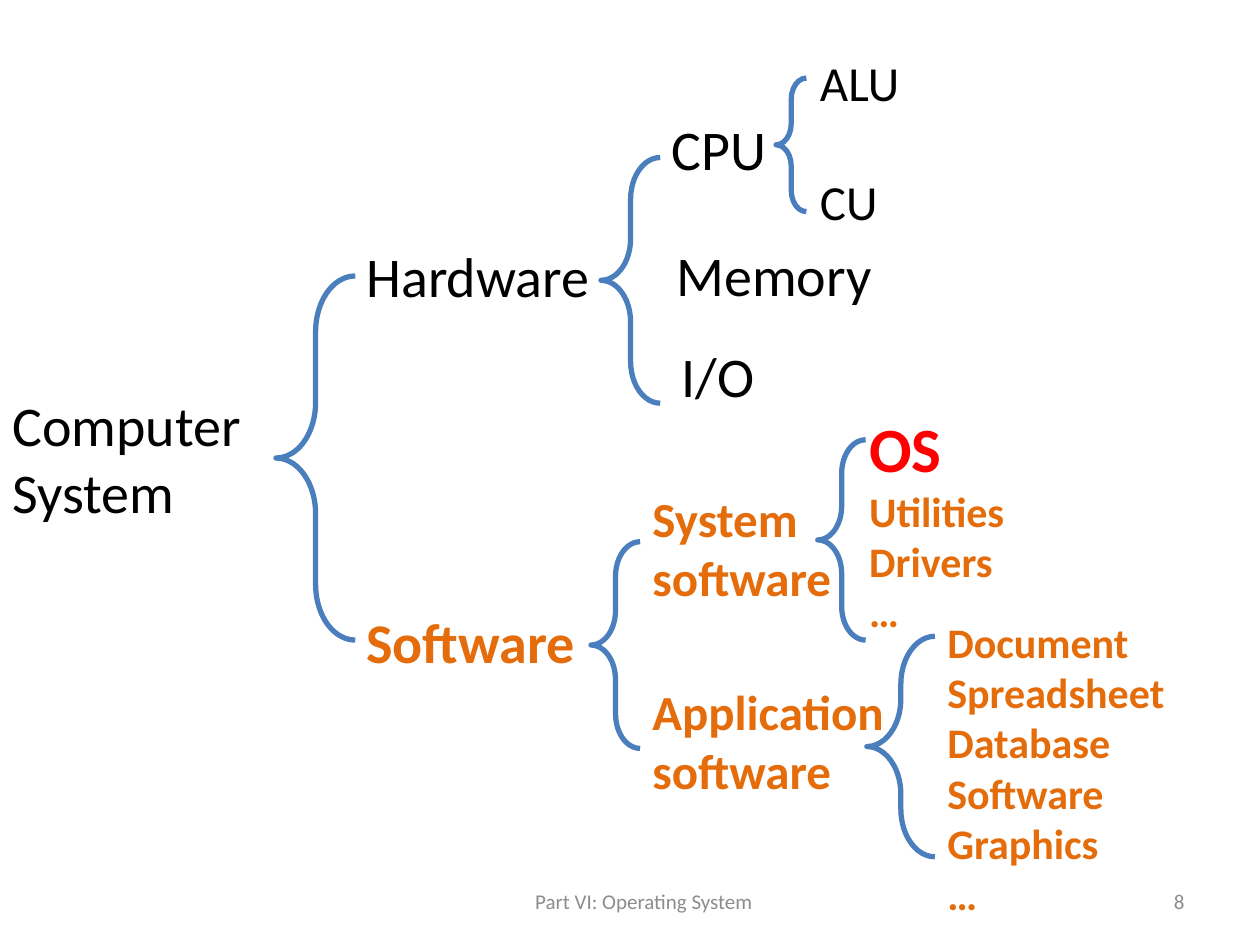
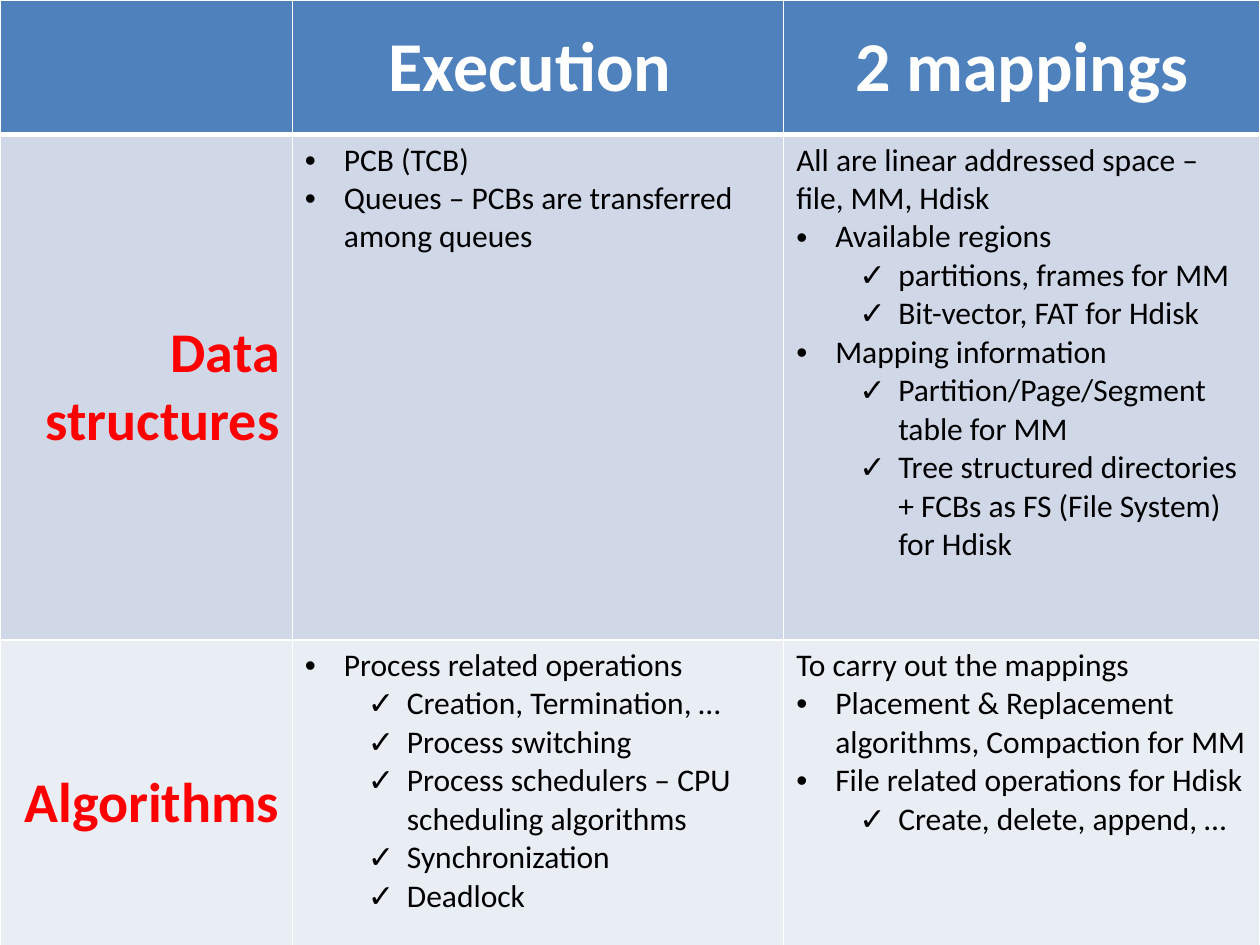
import pptx
import pptx.dml.color
import pptx.enum.shapes
import pptx.enum.text
import pptx.oxml.ns
import pptx.util
from lxml import etree

Inches = pptx.util.Inches
Pt = pptx.util.Pt
ALIGN = pptx.enum.text.PP_ALIGN
ANCHOR = pptx.enum.text.MSO_ANCHOR
FIT = pptx.enum.text.MSO_AUTO_SIZE
FONT = "Calibri"
BLACK, WHITE, RED, ORANGE, GREY = "000000", "FFFFFF", "FF0000", "E46C0A", "8C8C8C"
BRACE_BLUE, HEADER_BLUE = "4B7EBC", "4F81BD"
BODY_FILLS = ["D0D8E8", "E9EDF4"]

CONCEPTS = [
    (0, 3.05, 2.14, 1.18, ["Computer", "System"], 32, BLACK),
    (2.81, 1.87, 1.99, 0.64, ["Hardware"], 32, BLACK),
    (2.81, 4.77, 1.89, 0.64, ["Software"], 32, ORANGE),
    (5.23, 0.86, 0.96, 0.64, ["CPU"], 32, BLACK),
    (6.41, 0.37, 0.84, 0.57, ["ALU"], 28, BLACK),
    (6.41, 1.31, 0.66, 0.57, ["CU"], 28, BLACK),
    (5.27, 1.86, 1.77, 0.64, ["Memory"], 32, BLACK),
    (5.31, 2.66, 0.79, 0.64, ["I/O"], 32, BLACK),
    (5.08, 3.83, 1.65, 1.04, ["System", "software"], 28, ORANGE),
    (5.08, 5.36, 2.06, 1.04, ["Application", "software"], 28, ORANGE),
]
BRACES = [
    (2.19, 2.19, 0.63, 2.89),
    (4.69, 4.3, 0.39, 1.64),
    (6.16, 0.62, 0.24, 1.06),
    (6.49, 3.49, 0.38, 1.59),
    (6.88, 5.05, 0.54, 1.75),
    (4.77, 1.25, 0.47, 1.95),
]
APPLICATIONS = ["Document", "Spreadsheet", "Database Software", "Graphics", "…"]
SYSTEM_SOFTWARE = ["Utilities", "Drivers", "…"]

COLUMN_WIDTHS = [2.32, 3.9, 3.78]
ROW_HEIGHTS = [1.07, 4.01, 2.59]
HEADINGS = ["", "Execution ", "2 mappings"]
TOPICS = [
    ("Data structures",
     [("•", "PCB (TCB)"),
      ("•", "Queues – PCBs are transferred among queues")],
     [("", "All are linear addressed space – file, MM, Hdisk"),
      ("•", "Available regions"),
      ("✓", "partitions, frames for MM"),
      ("✓", "Bit-vector, FAT for Hdisk"),
      ("•", "Mapping information"),
      ("✓", "Partition/Page/Segment table for MM"),
      ("✓", "Tree structured directories + FCBs as FS (File System) for Hdisk")]),
    ("Algorithms ",
     [("•", "Process related operations"),
      ("✓", "Creation, Termination, …"),
      ("✓", "Process switching"),
      ("✓", "Process schedulers – CPU scheduling algorithms"),
      ("✓", "Synchronization"),
      ("✓", "Deadlock")],
     [("", "To carry out the mappings"),
      ("•", "Placement & Replacement algorithms, Compaction for MM"),
      ("•", "File related operations for Hdisk"),
      ("✓", "Create, delete, append, …")]),
]


def rgb(value):
    """Turn a hex string into a colour."""
    return pptx.dml.color.RGBColor.from_string(value)


def write_lines(frame, lines, align=ALIGN.LEFT):
    """Write (text, size, colour, bold) lines as paragraphs and return them."""
    paragraphs = []
    for text, size, colour, bold in lines:
        paragraph = frame.add_paragraph() if paragraphs else frame.paragraphs[0]
        paragraph.alignment = align
        run = paragraph.add_run()
        run.text = text
        run.font.name, run.font.size, run.font.bold = FONT, Pt(size), bold
        run.font.color.rgb = rgb(colour)
        paragraphs.append(paragraph)
    return paragraphs


def add_label(slide, box, lines, align=ALIGN.LEFT, wrap=False, anchor=ANCHOR.TOP, fit=FIT.SHAPE_TO_FIT_TEXT):
    """Place lines of text in a box."""
    frame = slide.shapes.add_textbox(*map(Inches, box)).text_frame
    frame.word_wrap, frame.auto_size, frame.vertical_anchor = wrap, fit, anchor
    write_lines(frame, lines, align)


def add_brace(slide, box):
    """Draw a left brace that opens a branch."""
    brace = slide.shapes.add_shape(pptx.enum.shapes.MSO_SHAPE.LEFT_BRACE, *map(Inches, box))
    brace.adjustments[0], brace.adjustments[1] = 0.703, 0.5
    brace.shadow.inherit = False
    brace.fill.background()
    brace.line.color.rgb = rgb(BRACE_BLUE)
    brace.line.width = Pt(3)


def add_footer(slide, left, top, number):
    """Place the part title and the slide number."""
    for offset, width, text, align in [(0, 3.38, "Part VI: Operating System", ALIGN.CENTER),
                                       (3.75, 2.33, number, ALIGN.RIGHT)]:
        add_label(slide, (left + offset, top, width, 0.4), [(text, 12, GREY, False)],
                  align, True, ANCHOR.MIDDLE, FIT.NONE)


def add_system_tree(slide, left, top):
    """Draw the tree of a computer system from its top left corner."""
    for x, y, width, height in BRACES:
        add_brace(slide, (left + x, top + y, width, height))
    for x, y, width, height, words, size, colour in CONCEPTS:
        lines = [(word, size, colour, colour == ORANGE) for word in words]
        add_label(slide, (left + x, top + y, width, height), lines)
    applications = [(name, 24, ORANGE, True) for name in APPLICATIONS]
    add_label(slide, (left + 7.42, top + 4.84, 2.42, 2.52), applications, wrap=True)
    system = [("OS", 36, RED, True)] + [(name, 24, ORANGE, True) for name in SYSTEM_SOFTWARE]
    add_label(slide, (left + 6.8, top + 3.2, 1.48, 1.92), system, wrap=True)


def set_bullet(paragraph, mark):
    """Give a paragraph its mark and hanging indent."""
    properties = paragraph._p.get_or_add_pPr()
    paragraph.level = 1 if mark == "✓" else 0
    properties.set("marL", str(Inches(0.31 + 0.5 * paragraph.level)))
    properties.set("indent", str(Inches(-0.31)))
    etree.SubElement(properties, pptx.oxml.ns.qn("a:buFont"), typeface="Arial")
    etree.SubElement(properties, pptx.oxml.ns.qn("a:buChar"), char=mark)


def format_cell(cell, fill, row):
    """Set the fill and white borders of a cell."""
    widths = {"L": 1, "R": 1, "T": 3 if row == 1 else 1, "B": 3 if row == 0 else 1}
    for side, width in widths.items():
        border = etree.SubElement(cell._tc.get_or_add_tcPr(), pptx.oxml.ns.qn("a:ln" + side), w=str(Pt(width)))
        solid = etree.SubElement(border, pptx.oxml.ns.qn("a:solidFill"))
        etree.SubElement(solid, pptx.oxml.ns.qn("a:srgbClr"), val=WHITE)
    cell.fill.solid()
    cell.fill.fore_color.rgb = rgb(fill)


def fill_heading(cell, text, size, colour, align):
    """Write a bold heading in the middle of a cell."""
    cell.vertical_anchor = ANCHOR.MIDDLE
    if text:
        write_lines(cell.text_frame, [(text, size, colour, True)], align)


def fill_points(cell, points):
    """Write marked points into a cell."""
    paragraphs = write_lines(cell.text_frame, [(text, 18, BLACK, False) for _, text in points])
    for paragraph, (mark, _) in zip(paragraphs, points):
        if mark:
            set_bullet(paragraph, mark)


def add_summary_table(slide, left, top):
    """Build the table of data structures and algorithms."""
    box = (left, top, sum(COLUMN_WIDTHS), sum(ROW_HEIGHTS))
    summary = slide.shapes.add_table(len(ROW_HEIGHTS), len(COLUMN_WIDTHS), *map(Inches, box)).table
    for column, width in zip(summary.columns, COLUMN_WIDTHS):
        column.width = Inches(width)
    for index, (row, height) in enumerate(zip(summary.rows, ROW_HEIGHTS)):
        row.height = Inches(height)
        for cell in row.cells:
            format_cell(cell, ([HEADER_BLUE] + BODY_FILLS)[index], index)
    for index, heading in enumerate(HEADINGS):
        fill_heading(summary.cell(0, index), heading, 40, WHITE, ALIGN.CENTER)
    for index, (topic, execution, mappings) in enumerate(TOPICS, 1):
        fill_heading(summary.cell(index, 0), topic, 32, RED, ALIGN.RIGHT)
        fill_points(summary.cell(index, 1), execution)
        fill_points(summary.cell(index, 2), mappings)


def main():
    """Build and save the two slides."""
    deck = pptx.Presentation()
    deck.slide_width, deck.slide_height = Inches(10), Inches(7.5)
    blank = deck.slide_layouts[6]
    tree_slide = deck.slides.add_slide(blank)
    add_footer(tree_slide, 3.42, 6.95, "8")
    add_system_tree(tree_slide, 0, 0)
    add_summary_table(deck.slides.add_slide(blank), 0, 0)
    deck.save("out.pptx")


if __name__ == "__main__":
    main()
